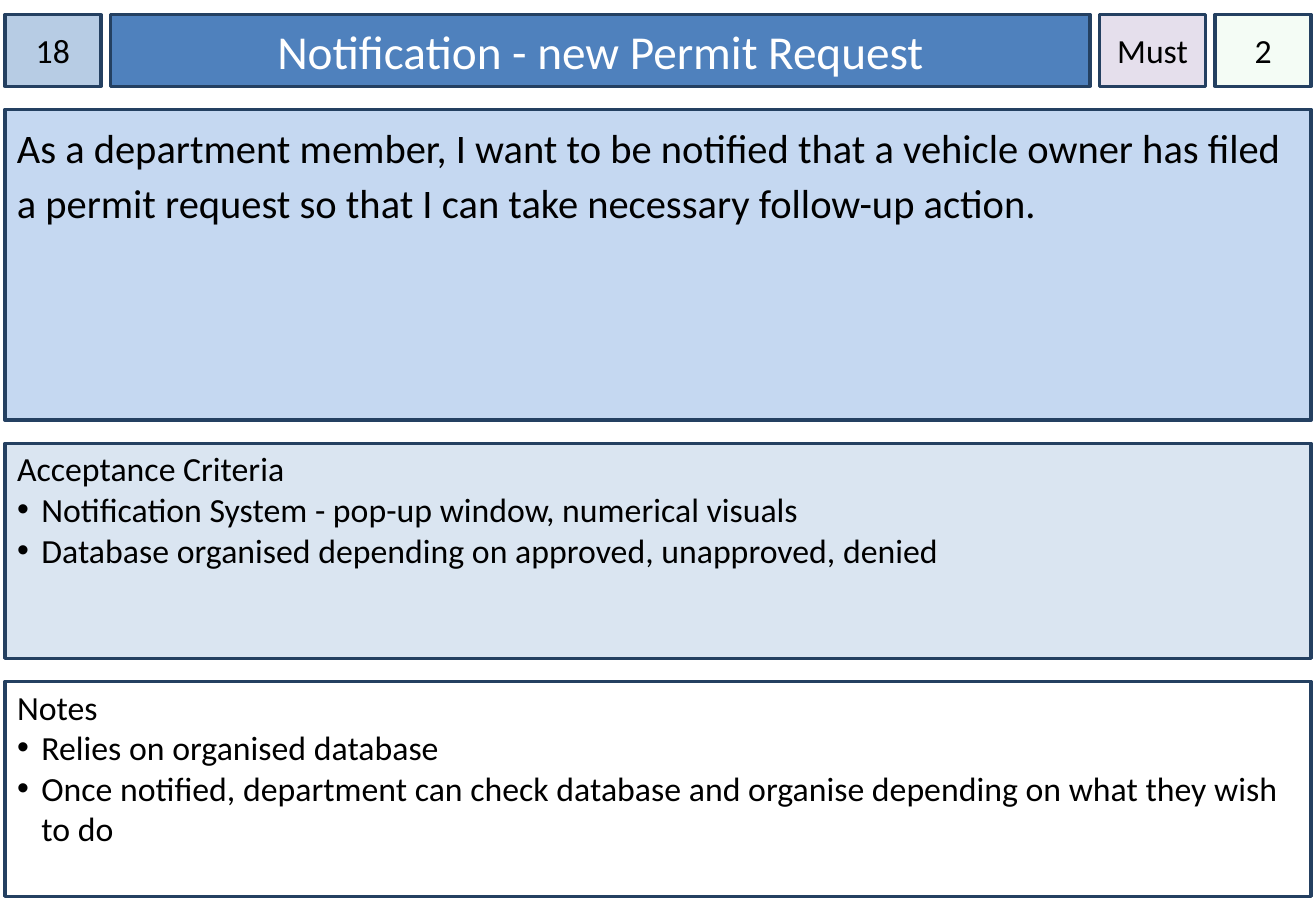
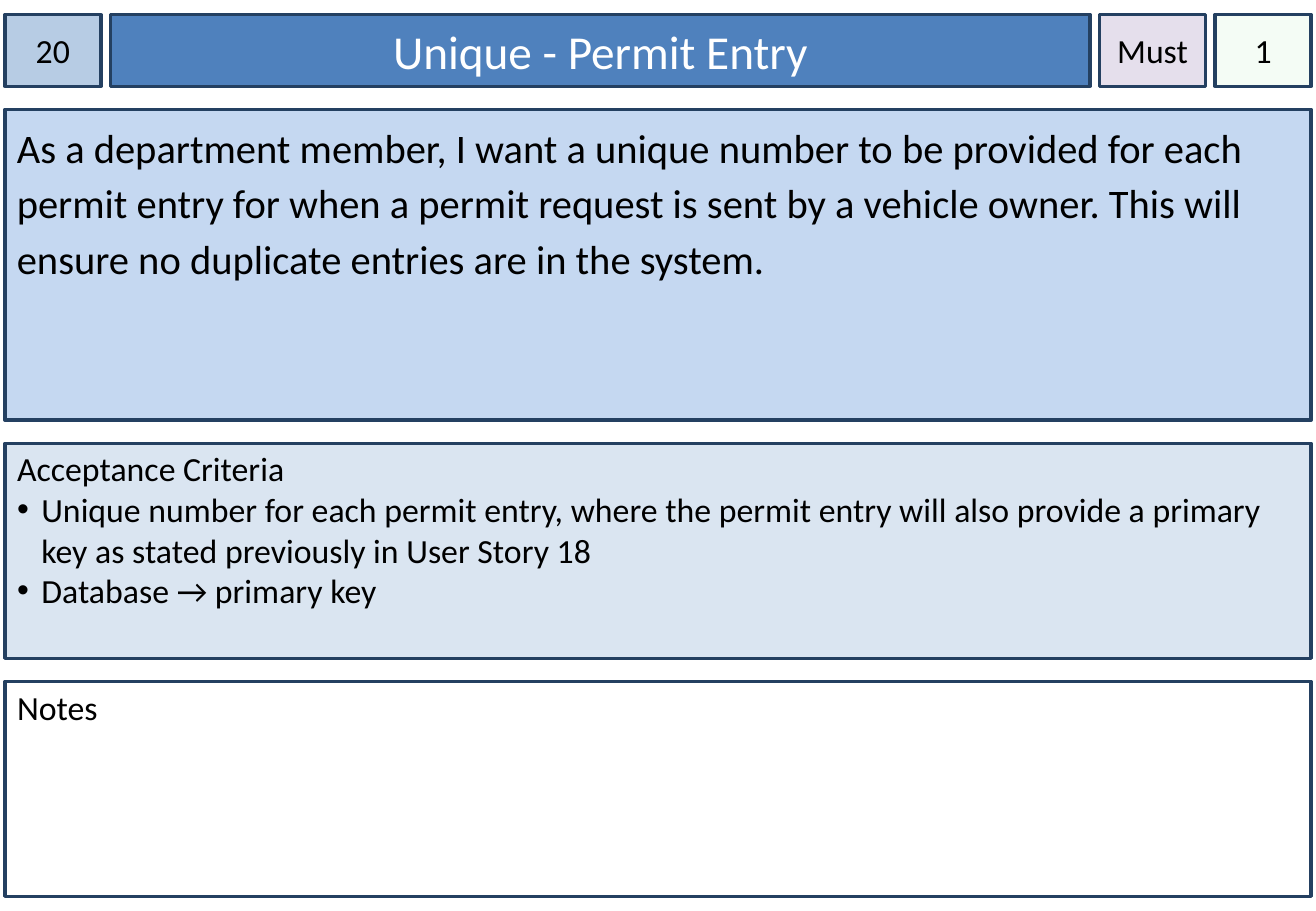
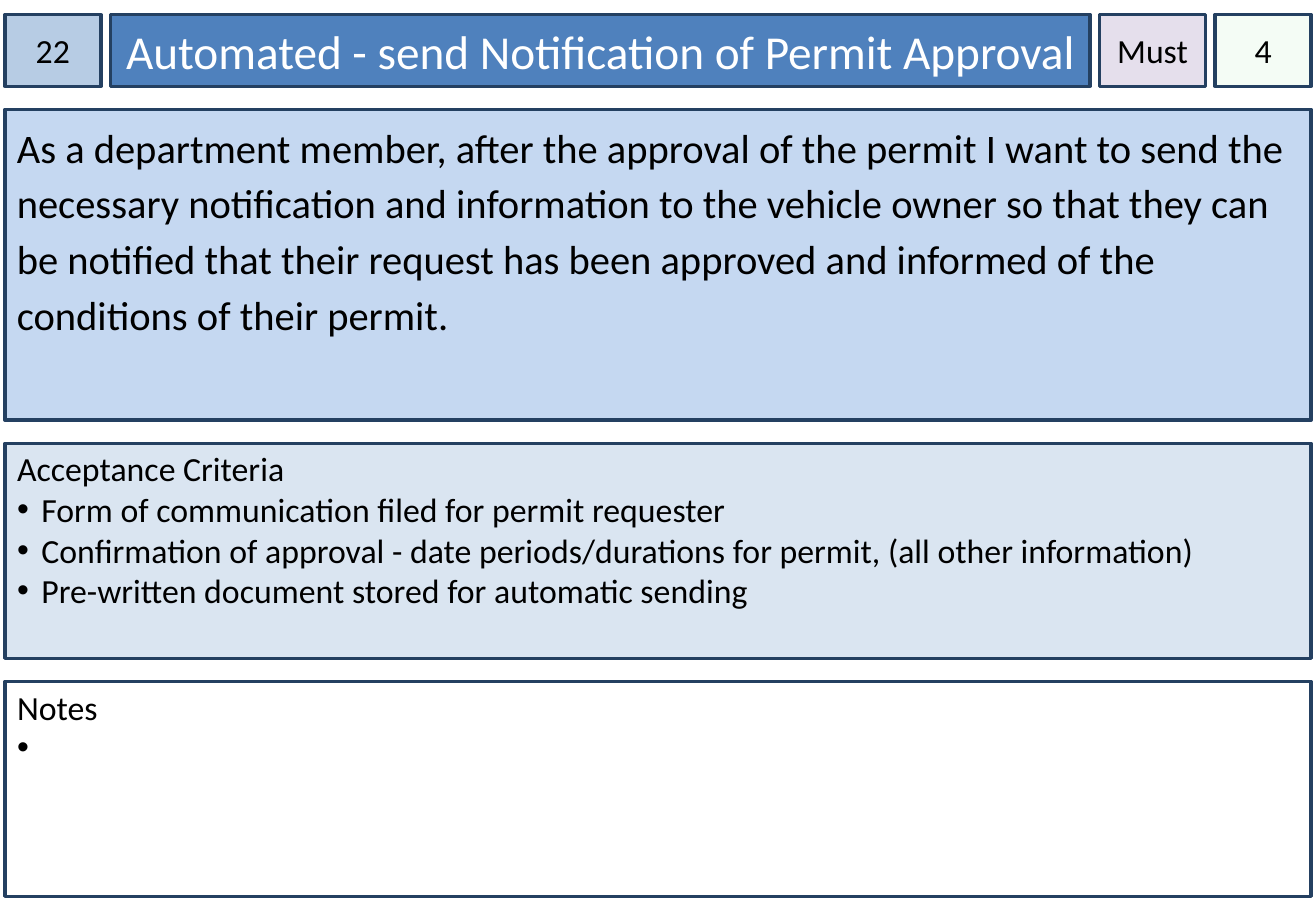
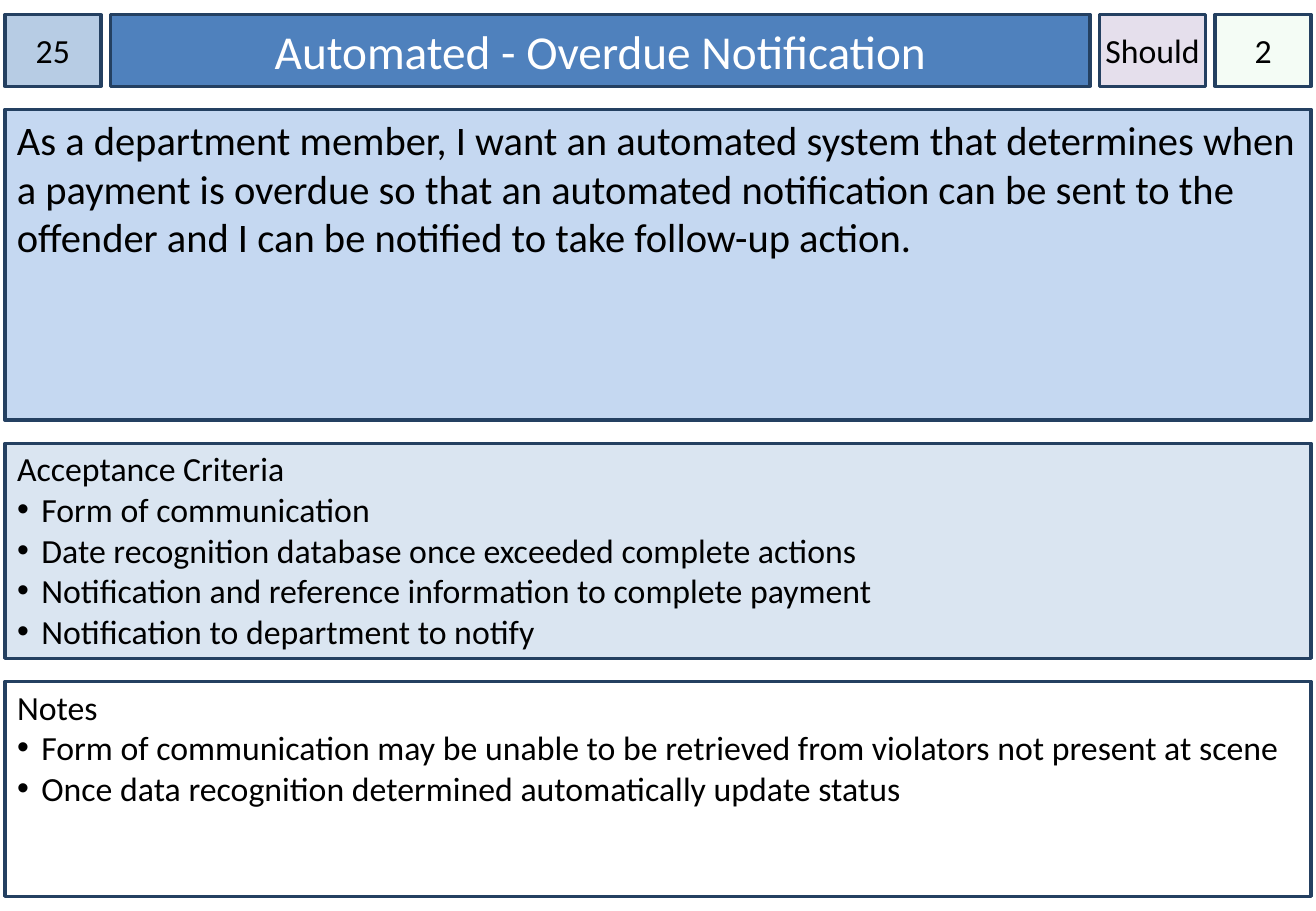
"""Build a deck of user story cards."""
from dataclasses import dataclass
from itertools import accumulate

from lxml.etree import SubElement
from pptx import Presentation
from pptx.dml.color import RGBColor
from pptx.enum.shapes import MSO_SHAPE
from pptx.enum.text import MSO_ANCHOR, MSO_AUTO_SIZE, PP_ALIGN
from pptx.oxml.ns import qn
from pptx.util import Inches, Pt


@dataclass(frozen=True)
class Theme:
    """Colours, type sizes and fonts of every card."""
    font: str = "Calibri"
    bullet_font: str = "Arial"
    title_size: int = 28
    story_size: int = 24
    text_size: int = 20
    line_width: int = 2
    ink: str = "000000"
    border: str = "244061"
    number: str = "B7CCE4"
    title: str = "4F81BD"
    title_ink: str = "FFFFFF"
    priority: str = "E5DFEC"
    estimate: str = "CCF0CD"
    estimate_opacity: int = 20
    story: str = "C5D8F1"
    criteria: str = "DAE5F1"
    notes: str = "FFFFFF"


@dataclass(frozen=True)
class Card:
    """Content of one user story."""
    number: str
    title: str
    priority: str
    estimate: str
    story: str
    criteria: tuple
    notes: tuple = ()
    story_spacing: float = 1.15


THEME = Theme()
SLIDE_WIDTH, SLIDE_HEIGHT = 10.83, 7.5
MARGIN, TOP = 0.04, 0.12
COLUMN_GAP, ROW_GAP = 0.08, 0.19
CONTENT_WIDTH = SLIDE_WIDTH - 2 * MARGIN
BADGE_WIDTH, PRIORITY_WIDTH = 0.79, 0.87
TITLE_WIDTH = CONTENT_WIDTH - 2 * BADGE_WIDTH - PRIORITY_WIDTH - 3 * COLUMN_GAP
COLUMN_WIDTHS = (BADGE_WIDTH, TITLE_WIDTH, PRIORITY_WIDTH, BADGE_WIDTH)
ROW_HEIGHTS = (0.59, 2.56, 1.77, 1.77)
BULLET_INDENT = 0.2
TWO_CONTENT_LAYOUT = 3

CARDS = (
    Card(
        "18", "Notification - new Permit Request", "Must", "2",
        "As a department member, I want to be notified that a vehicle owner has filed "
        "a permit request so that I can take necessary follow-up action.",
        ("Notification System - pop-up window, numerical visuals",
         "Database organised depending on approved, unapproved, denied"),
        ("Relies on organised database",
         "Once notified, department can check database and organise depending on "
         "what they wish to do"),
    ),
    Card(
        "20", "Unique - Permit Entry", "Must", "1",
        "As a department member, I want a unique number to be provided for each permit "
        "entry for when a permit request is sent by a vehicle owner. This will ensure "
        "no duplicate entries are in the system.",
        ("Unique number for each permit entry, where the permit entry will also provide "
         "a primary key as stated previously in User Story 18",
         "Database → primary key"),
    ),
    Card(
        "22", "Automated - send Notification of Permit Approval", "Must", "4",
        "As a department member, after the approval of the permit I want to send the "
        "necessary notification and information to the vehicle owner so that they can "
        "be notified that their request has been approved and informed of the "
        "conditions of their permit.",
        ("Form of communication filed for permit requester",
         "Confirmation of approval - date periods/durations for permit, "
         "(all other information)",
         "Pre-written document stored for automatic sending"),
        (" ",),
    ),
    Card(
        "25", "Automated - Overdue Notification", "Should", "2",
        "As a department member, I want an automated system that determines when a "
        "payment is overdue so that an automated notification can be sent to the "
        "offender and I can be notified to take follow-up action.",
        ("Form of communication",
         "Date recognition database once exceeded complete actions",
         "Notification and reference information to complete payment",
         "Notification to department to notify"),
        ("Form of communication may be unable to be retrieved from violators not "
         "present at scene",
         "Once data recognition determined automatically update status"),
        story_spacing=1.0,
    ),
)


def grid_starts(first, sizes, gap):
    """Return the start of each track of a grid."""
    return list(accumulate((size + gap for size in sizes[:-1]), initial=first))


COLUMN_LEFTS = grid_starts(MARGIN, COLUMN_WIDTHS, COLUMN_GAP)
ROW_TOPS = grid_starts(TOP, ROW_HEIGHTS, ROW_GAP)


def header_area(column):
    """Return the rectangle of one header cell."""
    return [Inches(length) for length in
            (COLUMN_LEFTS[column], ROW_TOPS[0], COLUMN_WIDTHS[column], ROW_HEIGHTS[0])]


def row_area(row):
    """Return the rectangle of one full-width row."""
    return [Inches(length) for length in
            (MARGIN, ROW_TOPS[row], CONTENT_WIDTH, ROW_HEIGHTS[row])]


def style_box(shape, color, side_inset=0.1, top_inset=0.05, anchor=MSO_ANCHOR.TOP):
    """Give a shape the fill, border and text frame of a card box."""
    shape.shadow.inherit = False
    shape.fill.solid()
    shape.fill.fore_color.rgb = RGBColor.from_string(color)
    shape.line.color.rgb = RGBColor.from_string(THEME.border)
    shape.line.width = Pt(THEME.line_width)
    text_frame = shape.text_frame
    text_frame.word_wrap = True
    text_frame.auto_size = MSO_AUTO_SIZE.NONE
    text_frame.vertical_anchor = anchor
    text_frame.margin_left = text_frame.margin_right = Inches(side_inset)
    text_frame.margin_top = Inches(top_inset)
    text_frame.margin_bottom = Inches(0.05)


def style_paragraph(paragraph, size, color=THEME.ink, align=PP_ALIGN.LEFT, spacing=1.0):
    """Set the alignment, spacing and font of a paragraph."""
    paragraph.alignment = align
    paragraph.line_spacing = spacing
    paragraph.space_before = Pt(0)
    for run in paragraph.runs:
        run.font.name = THEME.font
        run.font.size = Pt(size)
        run.font.color.rgb = RGBColor.from_string(color)


def set_bullet(paragraph, bulleted):
    """Turn the bullet and hanging indent of a paragraph on or off."""
    properties = paragraph._p.get_or_add_pPr()
    indent = Inches(BULLET_INDENT) if bulleted else 0
    properties.set("marL", str(indent))
    properties.set("indent", str(-indent))
    if not bulleted:
        SubElement(properties, qn("a:buNone"))
        return
    bullet_color = SubElement(properties, qn("a:buClr"))
    SubElement(bullet_color, qn("a:srgbClr"), val=THEME.ink)
    SubElement(properties, qn("a:buFont"), typeface=THEME.bullet_font)
    SubElement(properties, qn("a:buChar"), char="•")


def set_opacity(shape, percent):
    """Make the solid fill of a shape partly transparent."""
    color = shape._element.spPr.find(qn("a:solidFill")).find(qn("a:srgbClr"))
    SubElement(color, qn("a:alpha"), val=str(percent * 1000))


def place(shape, area):
    """Move and size a placeholder."""
    shape.left, shape.top, shape.width, shape.height = area


def set_title(slide, text):
    """Fill the title band."""
    title = slide.shapes.title
    place(title, header_area(1))
    style_box(title, THEME.title, anchor=MSO_ANCHOR.MIDDLE)
    title.text_frame.text = text
    style_paragraph(title.text_frame.paragraphs[0], THEME.title_size,
                    THEME.title_ink, PP_ALIGN.CENTER)


def add_badge(slide, column, text, color):
    """Add a small centred header box."""
    badge = slide.shapes.add_shape(MSO_SHAPE.RECTANGLE, *header_area(column))
    style_box(badge, color, side_inset=0, anchor=MSO_ANCHOR.MIDDLE)
    badge.text_frame.text = text
    style_paragraph(badge.text_frame.paragraphs[0], THEME.text_size,
                    align=PP_ALIGN.CENTER)
    return badge


def add_story(slide, text, spacing):
    """Add the user story box."""
    story = slide.shapes.add_shape(MSO_SHAPE.RECTANGLE, *row_area(1))
    style_box(story, THEME.story)
    story.text_frame.text = text
    style_paragraph(story.text_frame.paragraphs[0], THEME.story_size, spacing=spacing)


def set_list(body, row, heading, items, color):
    """Fill a body placeholder with a heading and bulleted items."""
    place(body, row_area(row))
    style_box(body, color, top_inset=0.04)
    body.text_frame.text = "\n".join((heading, *items))
    for index, paragraph in enumerate(body.text_frame.paragraphs):
        set_bullet(paragraph, bulleted=index > 0)
        style_paragraph(paragraph, THEME.text_size)


def add_card(presentation, card):
    """Add one story card slide."""
    slide = presentation.slides.add_slide(presentation.slide_layouts[TWO_CONTENT_LAYOUT])
    set_title(slide, card.title)
    add_badge(slide, 0, card.number, THEME.number)
    add_badge(slide, 2, card.priority, THEME.priority)
    estimate = add_badge(slide, 3, card.estimate, THEME.estimate)
    set_opacity(estimate, THEME.estimate_opacity)
    add_story(slide, card.story, card.story_spacing)
    set_list(slide.placeholders[1], 2, "Acceptance Criteria", card.criteria, THEME.criteria)
    set_list(slide.placeholders[2], 3, "Notes", card.notes, THEME.notes)


def main():
    """Build and save the deck."""
    presentation = Presentation()
    presentation.slide_width = Inches(SLIDE_WIDTH)
    presentation.slide_height = Inches(SLIDE_HEIGHT)
    for card in CARDS:
        add_card(presentation, card)
    presentation.save("out.pptx")


if __name__ == "__main__":
    main()
